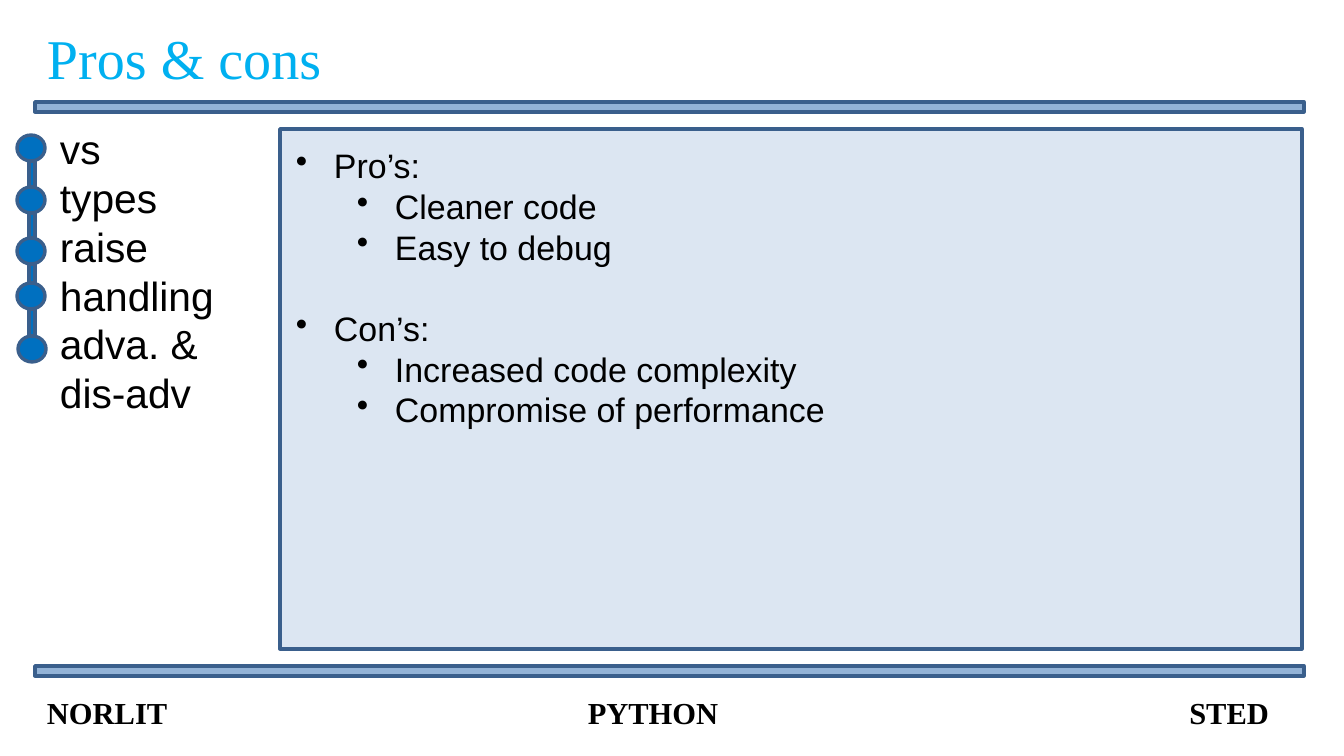
from dataclasses import dataclass
from itertools import pairwise

from lxml.etree import SubElement
from pptx import Presentation
from pptx.dml.color import RGBColor
from pptx.enum.shapes import MSO_SHAPE as Shape
from pptx.oxml.ns import qn
from pptx.util import Pt

PX = 914400 // 122
BLACK = RGBColor(0x00, 0x00, 0x00)
SKY = RGBColor(0x00, 0xB0, 0xF0)
PALE = RGBColor(0xDC, 0xE6, 0xF2)
STEEL = RGBColor(0x93, 0xB3, 0xD7)
NAVY = RGBColor(0x3A, 0x5F, 0x8C)
BLUE = RGBColor(0x00, 0x70, 0xC0)
SANS, SERIF = "Arial", "Times New Roman"


@dataclass(frozen=True)
class Box:
    left: int
    top: int
    width: int
    height: int

    def emu(self) -> list[int]:
        return [v * PX for v in (self.left, self.top, self.width, self.height)]


@dataclass(frozen=True)
class Style:
    font: str
    size: float
    color: RGBColor = BLACK
    bold: bool = False
    spacing: float | None = None


@dataclass(frozen=True)
class Section:
    heading: str
    points: list[str]


def draw_shape(s, kind: Shape, box: Box, fill: RGBColor) -> None:
    sp = s.shapes.add_shape(kind, *box.emu())
    sp.shadow.inherit = False
    sp.fill.solid()
    sp.fill.fore_color.rgb = fill
    sp.line.color.rgb = NAVY
    sp.line.width = Pt(2)


def draw_text(s, box: Box, lines: list[str], style: Style) -> list:
    tf = s.shapes.add_textbox(*box.emu()).text_frame
    tf.word_wrap = True
    tf.text = "\n".join(lines)
    for p in tf.paragraphs:
        p.font.name = style.font
        p.font.size = Pt(style.size)
        p.font.color.rgb = style.color
        p.font.bold = style.bold
        if style.spacing:
            p.line_spacing = Pt(style.spacing)
    return list(tf.paragraphs)


def add_bullet(p, level: int) -> None:
    p.level = level
    pPr = p._p.get_or_add_pPr()
    pPr.set("marL", str((38 + 61 * level) * PX))
    pPr.set("indent", str(-38 * PX))
    bullet = pPr.makeelement(qn("a:buChar"), {"char": "•"})
    pPr.find(qn("a:defRPr")).addprevious(bullet)


def add_tabs(p, stops: list[tuple[int, str]]) -> None:
    pPr = p._p.get_or_add_pPr()
    tabs = pPr.makeelement(qn("a:tabLst"), {})
    for pos, align in stops:
        SubElement(tabs, qn("a:tab"), pos=str(pos * PX), algn=align)
    pPr.find(qn("a:defRPr")).addprevious(tabs)


def draw_sections(s, box: Box, sections: list[Section], style: Style) -> None:
    rows = [(text, level) for sec in sections
            for text, level in [(sec.heading, 0), *((pt, 1) for pt in sec.points)]]
    paragraphs = draw_text(s, box, [text for text, _ in rows], style)
    for i, (p, (_, level)) in enumerate(zip(paragraphs, rows)):
        add_bullet(p, level)
        if i and level == 0:
            p.space_before = Pt(style.spacing)


def draw_timeline(s, nodes: list[tuple[int, int]]) -> None:
    width, height = 28, 26
    for left, top in nodes:
        draw_shape(s, Shape.OVAL, Box(left, top, width, height), BLUE)
    for (_, top), (_, below) in pairwise(nodes):
        start = top + height
        draw_shape(s, Shape.RECTANGLE, Box(29, start, 6, below - start), BLUE)


prs = Presentation()
prs.slide_width, prs.slide_height = 1344 * PX, 756 * PX
s = prs.slides.add_slide(prs.slide_layouts[6])

draw_shape(s, Shape.RECTANGLE, Box(280, 129, 1022, 520), PALE)
for top in (102, 666):
    draw_shape(s, Shape.RECTANGLE, Box(35, top, 1269, 10), STEEL)

draw_text(s, Box(35, 17, 400, 80), ["Pros & cons"], Style(SERIF, 33.1, SKY))
draw_sections(
    s,
    Box(284, 139, 700, 378),
    [
        Section("Pro’s:", ["Cleaner code", "Easy to debug"]),
        Section("Con’s:", ["Increased code complexity", "Compromise of performance"]),
    ],
    Style(SANS, 20, spacing=24),
)
footer = draw_text(s, Box(35, 688, 1269, 46), ["NORLIT\tPYTHON\tSTED"],
                   Style(SERIF, 18, bold=True))
add_tabs(footer[0], [(606, "ctr"), (1222, "r")])
draw_text(s, Box(48, 118, 230, 357),
          ["vs", "types", "raise", "handling", "adva. &", "dis-adv"],
          Style(SANS, 24, spacing=28.8))
draw_timeline(s, [(17, 135), (17, 187), (17, 238), (17, 283), (18, 336)])

prs.save("out.pptx")
